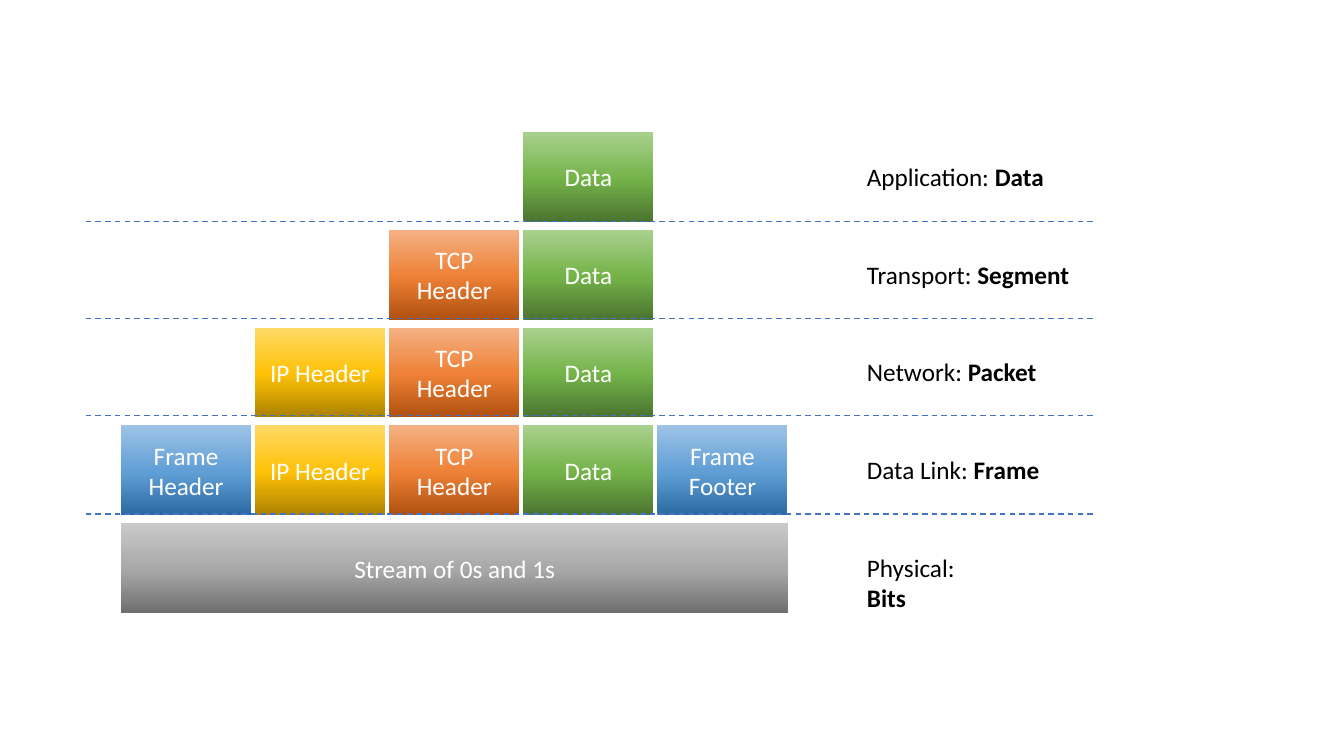
from copy import deepcopy

from lxml import etree
from pptx import Presentation
from pptx.dml.color import RGBColor
from pptx.enum import dml, shapes, text
from pptx.oxml.ns import qn
from pptx.util import Inches, Pt

FONT, SIZE = "Calibri", Pt(18)
COLORS = {"label": "000000", "block_text": "FFFFFF", "divider": "4472C4"}

# Gradients run from the dark bottom to the light top
GRADIENTS = {
    "data": ("4B7430", "74B349", "A9D18E"),
    "tcp": ("B0500F", "EE8137", "F4B183"),
    "ip": ("AB8100", "FFC208", "FFD966"),
    "frame": ("2A69A2", "609ED6", "9DC3E6"),
    "bits": ("6F6F6F", "A8A8A8", "C9C9C9"),
}
STOPS = (0, 0.48, 1)

# Block grid
LEFT, TOP = 1.2, 1.31
COLUMN_STEP, ROW_STEP = 1.33, 0.97
BLOCK_WIDTH, BLOCK_HEIGHT = 1.29, 0.89
STREAM_WIDTH = 6.62

# Columns in order: wording and gradient
COLUMNS = [
    ("Frame Header", "frame"),
    ("IP Header", "ip"),
    ("TCP Header", "tcp"),
    ("Data", "data"),
    ("Frame Footer", "frame"),
]
# Layers from the top: name, unit, label width, columns in use
LAYERS = [
    ("Application", "Data", 1.96, (3,)),
    ("Transport", "Segment", 2.21, (2, 3)),
    ("Network", "Packet", 1.9, (1, 2, 3)),
    ("Data Link", "Frame", 1.93, (0, 1, 2, 3, 4)),
    ("Physical", "Bits", 1.51, ()),
]
LABEL_LEFT, LABEL_DROP, LABEL_HEIGHT = 8.5, 0.24, 0.4
DIVIDER_LEFT, DIVIDER_RIGHT = 0.83, 10.84
DIVIDER_TOPS = (2.2, 3.16, 4.12, 5.1)


def style_font(paragraph, color):
    paragraph.font.name = FONT
    paragraph.font.size = SIZE
    paragraph.font.color.rgb = RGBColor.from_string(COLORS[color])


def fill_gradient(block, colors):
    block.fill.gradient()
    block.fill.gradient_angle = 90
    stop_list = block._element.spPr.find(qn("a:gradFill")).find(qn("a:gsLst"))
    stop_list.append(deepcopy(stop_list[0]))
    for stop, position, color in zip(block.fill.gradient_stops, STOPS, colors):
        stop.position = position
        stop.color.rgb = RGBColor.from_string(color)


def add_block(slide, wording, gradient, left, top, width=BLOCK_WIDTH):
    block = slide.shapes.add_shape(
        shapes.MSO_SHAPE.RECTANGLE,
        Inches(left), Inches(top), Inches(width), Inches(BLOCK_HEIGHT))
    block.shadow.inherit = False
    block.line.fill.background()
    fill_gradient(block, GRADIENTS[gradient])
    frame = block.text_frame
    frame.word_wrap = True
    frame.vertical_anchor = text.MSO_ANCHOR.MIDDLE
    paragraph = frame.paragraphs[0]
    paragraph.text = wording
    paragraph.alignment = text.PP_ALIGN.CENTER
    style_font(paragraph, "block_text")


def add_label(slide, layer, unit, top, width):
    label = slide.shapes.add_textbox(
        Inches(LABEL_LEFT), Inches(top), Inches(width), Inches(LABEL_HEIGHT))
    frame = label.text_frame
    frame.word_wrap = False
    frame.auto_size = text.MSO_AUTO_SIZE.SHAPE_TO_FIT_TEXT
    paragraph = frame.paragraphs[0]
    paragraph.add_run().text = f"{layer}: "
    unit_run = paragraph.add_run()
    unit_run.text = unit
    unit_run.font.bold = True
    style_font(paragraph, "label")


def add_divider(slide, top):
    divider = slide.shapes.add_connector(
        shapes.MSO_CONNECTOR.STRAIGHT,
        Inches(DIVIDER_RIGHT), Inches(top), Inches(DIVIDER_LEFT), Inches(top))
    divider.line.color.rgb = RGBColor.from_string(COLORS["divider"])
    divider.line.width = Pt(1)
    divider.line.dash_style = dml.MSO_LINE.DASH
    etree.SubElement(divider._element.spPr, qn("a:effectLst"))


def main():
    deck = Presentation()
    deck.slide_width, deck.slide_height = Inches(13.33), Inches(7.5)
    slide = deck.slides.add_slide(deck.slide_layouts[6])

    # Layers with their blocks and labels
    for row, (layer, unit, label_width, columns) in enumerate(LAYERS):
        top = TOP + row * ROW_STEP
        for column in columns:
            add_block(slide, *COLUMNS[column], LEFT + column * COLUMN_STEP, top)
        add_label(slide, layer, unit, top + LABEL_DROP, label_width)

    # Bit stream across the physical layer
    stream_top = TOP + (len(LAYERS) - 1) * ROW_STEP
    add_block(slide, "Stream of 0s and 1s", "bits", LEFT, stream_top, STREAM_WIDTH)

    # Dashed lines between layers
    for top in DIVIDER_TOPS:
        add_divider(slide, top)

    deck.save("out.pptx")


if __name__ == "__main__":
    main()
